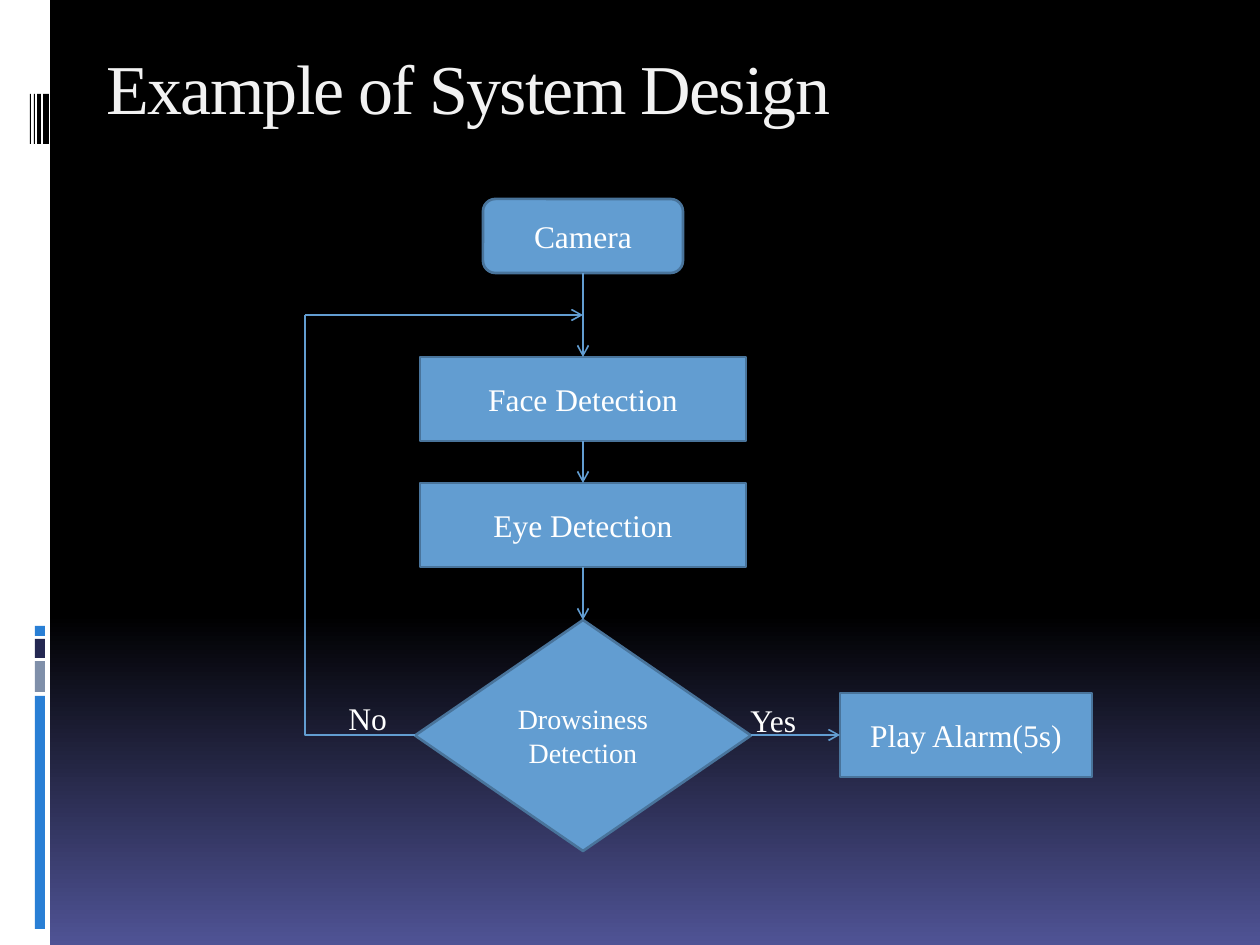
from lxml.etree import SubElement
from pptx import Presentation
from pptx.dml.color import RGBColor
from pptx.enum.shapes import MSO_CONNECTOR as Route, MSO_SHAPE as Preset
from pptx.enum.text import MSO_ANCHOR as Anchor, MSO_AUTO_SIZE as AutoSize, PP_ALIGN as Align
from pptx.oxml.ns import qn
from pptx.util import Pt

EMU_PER_PX = 914400 / 126
FONT = "Times New Roman"

BLACK = RGBColor(0x00, 0x00, 0x00)
WHITE = RGBColor(0xFF, 0xFF, 0xFF)
OFF_WHITE = RGBColor(0xF2, 0xF2, 0xF2)
INDIGO = RGBColor(0x4F, 0x53, 0x95)
NAVY = RGBColor(0x24, 0x28, 0x52)
SLATE = RGBColor(0x7F, 0x8F, 0xA9)
BRIGHT_BLUE = RGBColor(0x29, 0x7F, 0xD5)
STEP_BLUE = RGBColor(0x62, 0x9D, 0xD1)
STEP_EDGE = RGBColor(0x49, 0x74, 0x9B)


def px(*lengths):
    return [round(length * EMU_PER_PX) for length in lengths]


def write(frame, text, size=18, color=WHITE, align=Align.LEFT, anchor=Anchor.TOP,
          wrap=True, spacing=None):
    frame.word_wrap = wrap
    frame.vertical_anchor = anchor
    paragraph = frame.paragraphs[0]
    paragraph.alignment = align
    run = paragraph.add_run()
    run.text = text
    run.font.name = FONT
    run.font.size = Pt(size)
    run.font.color.rgb = color
    if spacing is not None:
        run.font._element.set("spc", str(round(spacing * 100)))


def add_block(shapes, preset, box, fill, edge=None):
    block = shapes.add_shape(preset, *px(*box))
    block.shadow.inherit = False
    block.fill.solid()
    block.fill.fore_color.rgb = fill
    if edge is None:
        block.line.fill.background()
    else:
        block.line.color.rgb = edge
        block.line.width = Pt(1.5)
    return block


def add_step(shapes, preset, box, text, size=18):
    step = add_block(shapes, preset, box, STEP_BLUE, STEP_EDGE)
    write(step.text_frame, text, size=size, align=Align.CENTER, anchor=Anchor.MIDDLE)


def add_flow(shapes, start, end, route=Route.STRAIGHT, arrow=True):
    flow = shapes.add_connector(route, *px(*start, *end))
    flow.line.color.rgb = STEP_BLUE
    flow.line.width = Pt(0.94)
    if arrow:
        SubElement(flow.line._get_or_add_ln(), qn("a:tailEnd"), type="arrow")
    SubElement(flow._element.spPr, qn("a:effectLst"))
    return flow


def add_corner(shapes, start, end):
    """One bend: run left from start, then up to end."""
    properties = add_flow(shapes, start, end, Route.ELBOW, arrow=False)._element.spPr
    properties.find(qn("a:prstGeom")).set("prst", "bentConnector2")
    transform = properties.find(qn("a:xfrm"))
    for flip in ("flipH", "flipV"):
        transform.attrib.pop(flip, None)
    transform.set("rot", "10800000")


def add_label(shapes, box, text, wrap=True):
    label = shapes.add_textbox(*px(*box))
    write(label.text_frame, text, wrap=wrap)
    label.text_frame.auto_size = AutoSize.SHAPE_TO_FIT_TEXT


def paint_background(slide):
    fill = slide.background.fill
    fill.gradient()
    fill.gradient_angle = 270
    for stop, position, color in zip(fill.gradient_stops, (0.65, 1), (BLACK, INDIGO)):
        stop.position = position
        stop.color.rgb = color


def add_side_strip(shapes):
    add_block(shapes, Preset.RECTANGLE, (0, 0, 50, 945), WHITE)
    for top, height, color in ((696, 233, BRIGHT_BLUE), (661, 31, SLATE),
                               (639, 19, NAVY), (626, 10, BRIGHT_BLUE)):
        add_block(shapes, Preset.RECTANGLE, (35, top, 10, height), color)
    for left, width in ((43, 6), (37, 4), (34, 1), (30, 1)):
        add_block(shapes, Preset.RECTANGLE, (left, 94, width, 50), BLACK)


def add_title(slide, text):
    title = slide.shapes.title
    title.left, title.top, title.width, title.height = px(94, 31, 1072, 126)
    frame = title.text_frame
    frame.auto_size = AutoSize.NONE
    frame.margin_top = px(14)[0]
    write(frame, text, size=40, color=OFF_WHITE, spacing=-1)


def add_flowchart(shapes):
    axis, loop_x, loop_y, branch_y = 583, 305, 315, 735

    # Steps
    add_step(shapes, Preset.FLOWCHART_ALTERNATE_PROCESS, (483, 199, 200, 74), "Camera")
    add_step(shapes, Preset.FLOWCHART_DECISION, (415, 620, 336, 231),
             "Drowsiness Detection", size=16)
    add_step(shapes, Preset.RECTANGLE, (840, 693, 252, 84), "Play Alarm(5s)")
    for top, text in ((357, "Face Detection"), (483, "Eye Detection")):
        add_step(shapes, Preset.RECTANGLE, (420, top, 326, 84), text)

    # Main path, alarm branch and return loop
    for top, bottom in ((273, 357), (441, 483), (567, 620)):
        add_flow(shapes, (axis, top), (axis, bottom))
    add_flow(shapes, (751, branch_y), (840, branch_y))
    add_corner(shapes, (415, branch_y), (loop_x, loop_y))
    add_flow(shapes, (loop_x, loop_y), (axis, loop_y))

    # Branch labels
    add_label(shapes, (336, 693, 64, 50), "No", wrap=False)
    add_label(shapes, (738, 695, 102, 50), "Yes")


def main():
    deck = Presentation()
    deck.slide_width, deck.slide_height = px(1260, 945)
    slide = deck.slides.add_slide(deck.slide_layouts[5])
    paint_background(slide)
    add_side_strip(slide.shapes)
    add_title(slide, "Example of System Design")
    add_flowchart(slide.shapes.add_group_shape().shapes)
    deck.save("out.pptx")


if __name__ == "__main__":
    main()
